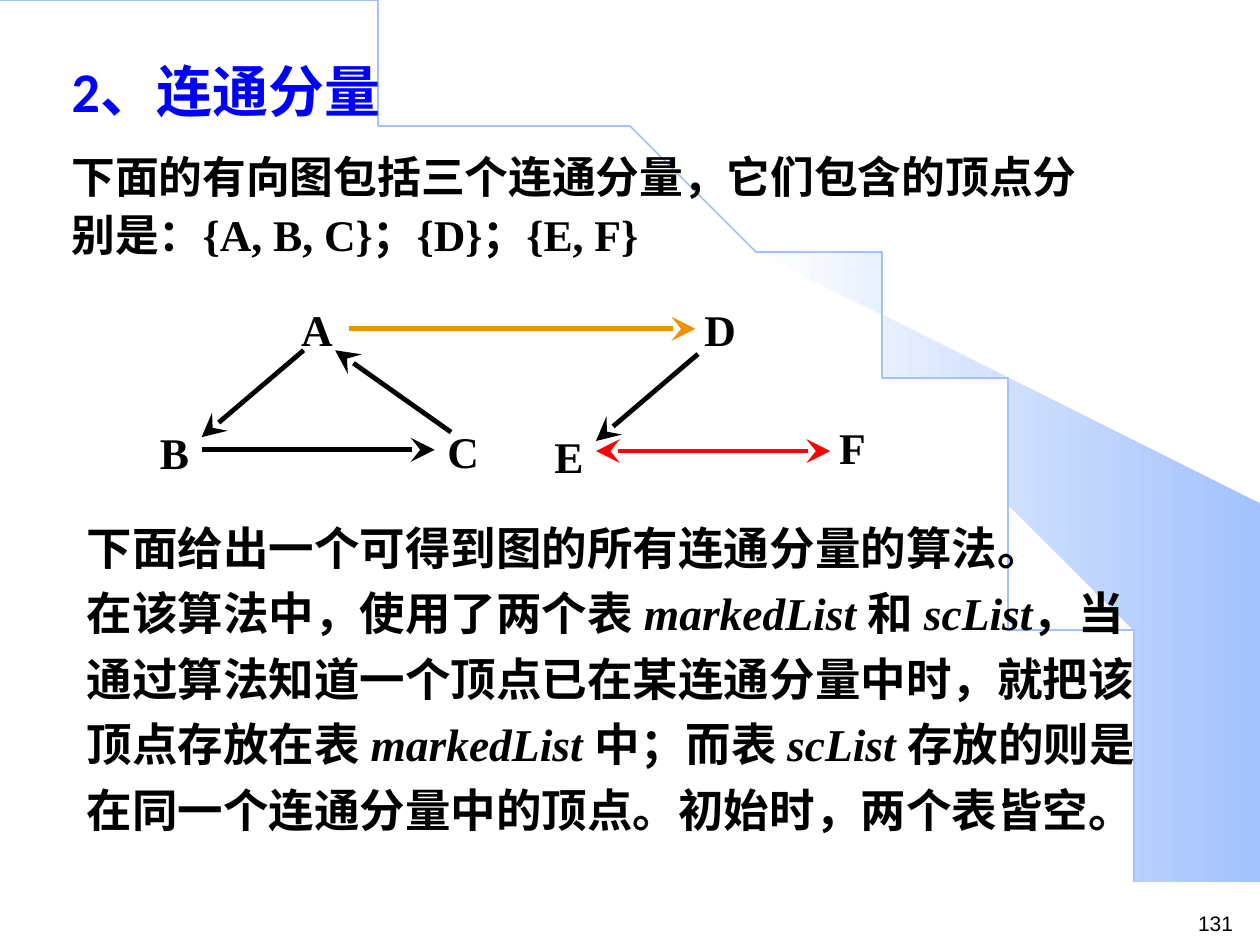
import pptx
import pptx.dml.color
import pptx.enum.shapes
import pptx.enum.text
import pptx.oxml.ns
import pptx.util
from lxml import etree

Inches, Pt = pptx.util.Inches, pptx.util.Pt
RGBColor = pptx.dml.color.RGBColor
BLACK = RGBColor(0x00, 0x00, 0x00)
WHITE = RGBColor(0xFF, 0xFF, 0xFF)
BLUE = RGBColor(0x00, 0x00, 0xFF)
PALE_BLUE = RGBColor(0xA2, 0xC1, 0xFE)
ORANGE = RGBColor(0xEF, 0x91, 0x00)
RED = RGBColor(0xFF, 0x00, 0x00)
SERIF = "Times New Roman"
CJK = "Noto Sans CJK SC"

SWOOSH = [
    (9.2, 7.48), (9.99, 7.49), (9.99, 4.23), (5.89, 1.73), (6.24, 1.99), (6.53, 2.22),
    (6.85, 2.5), (7.16, 2.8), (7.62, 3.3), (8.03, 3.84), (8.32, 4.31), (8.58, 4.79),
    (8.78, 5.28), (8.93, 5.72), (9.03, 6.09), (9.13, 6.56), (9.17, 6.96),
]
# vertex: left, top, width of its label
VERTICES = {
    "A": (2.39, 2.4, 0.29), "B": (1.27, 3.38, 0.23), "C": (3.55, 3.37, 0.25),
    "D": (5.59, 2.4, 0.33), "E": (4.4, 3.41, 0.23), "F": (6.66, 3.34, 0.21),
}
# start, end, colour, arrowheads
EDGES = [
    ((3.58, 3.43), (2.66, 2.78), BLACK, ["tailEnd"]),
    ((2.41, 2.78), (1.6, 3.47), BLACK, ["tailEnd"]),
    ((1.6, 3.57), (3.45, 3.57), BLACK, ["tailEnd"]),
    ((2.77, 2.61), (5.52, 2.61), ORANGE, ["tailEnd"]),
    ((5.54, 2.81), (4.73, 3.5), BLACK, ["tailEnd"]),
    ((4.73, 3.58), (6.59, 3.58), RED, ["headEnd", "tailEnd"]),
]


def add_element(parent, tag, **attrs):
    return etree.SubElement(parent, pptx.oxml.ns.qn(tag), attrs)


def add_freeform(slide, points, close):
    builder = slide.shapes.build_freeform(*points[0], scale=Inches(1))
    builder.add_line_segments(points[1:], close=close)
    s = builder.convert_to_shape()
    s.shadow.inherit = False
    return s


def add_background(slide):
    s = add_freeform(slide, SWOOSH, True)
    s.line.fill.background()
    s.fill.gradient()
    s.fill.gradient_angle = 0
    for stop, color in zip(s.fill.gradient_stops, (WHITE, PALE_BLUE)):
        stop.color.rgb = color

    # cubic curve (0, 0), (5.08, 0), (9.2, 3.35), (9.2, 7.49)
    steps = 80
    arc = []
    for i in range(steps + 1):
        t = i / steps
        u = 1 - t
        b1, b2, b3 = 3 * u * u * t, 3 * u * t * t, t ** 3
        arc.append((5.08 * b1 + 9.2 * (b2 + b3), 3.35 * b2 + 7.49 * b3))
    s = add_freeform(slide, arc, False)
    s.fill.background()
    s.line.color.rgb = PALE_BLUE
    s.line.width = Pt(1)


def add_text_box(slide, left, top, width, height, inset=True):
    s = slide.shapes.add_textbox(Inches(left), Inches(top), Inches(width), Inches(height))
    tf = s.text_frame
    tf.word_wrap = inset
    if not inset:
        tf.margin_left = tf.margin_right = tf.margin_top = tf.margin_bottom = 0
    return tf


def set_font(font, size, name, color=BLACK, bold=True):
    font.size, font.name, font.bold = Pt(size), name, bold
    font.color.rgb = color


def add_run(p, text, name=None, italic=None):
    r = p.add_run()
    r.text = text
    if name:
        r.font.name = name
    if italic:
        r.font.italic = True


def add_heading(slide):
    tf = add_text_box(slide, 0.47, 0.4, 8.27, 1.85)
    p = tf.paragraphs[0]
    set_font(p.font, 32, "Calibri", BLUE)
    add_run(p, "2、连通分量")
    p = tf.add_paragraph()
    p.line_spacing, p.space_before = Pt(33), Pt(12)
    set_font(p.font, 25, CJK)
    add_run(p, "下面的有向图包括三个连通分量，它们包含的顶点分别是：")
    add_run(p, "{A, B, C}；{D}；{E, F}", SERIF)


def add_vertex(slide, label, left, top, width):
    p = add_text_box(slide, left, top, width, 0.42, inset=False).paragraphs[0]
    set_font(p.font, 25, SERIF)
    add_run(p, label)


def add_edge(slide, start, end, color, heads):
    s = slide.shapes.add_connector(
        pptx.enum.shapes.MSO_CONNECTOR.STRAIGHT, *map(Inches, start + end))
    s.line.color.rgb = color
    s.line.width = Pt(2.75)
    ln = s.line._get_or_add_ln()
    for head in heads:
        add_element(ln, "a:" + head, type="stealth", w="lg", len="lg")
    add_element(s._element.spPr, "a:effectLst")


def add_explanation(slide):
    tf = add_text_box(slide, 0.59, 3.99, 8.78, 2.7)
    paragraphs = [
        [("下面给出一个可得到图的所有连通分量的算法。", False)],
        [("在该算法中，使用了两个表 ", False), ("markedList ", True), ("和 ", False),
         ("scList", True),
         ("，当通过算法知道一个顶点已在某连通分量中时，就把该顶点存放在表 ", False),
         ("markedList ", True), ("中；而表 ", False), ("scList ", True),
         ("存放的则是在同一个连通分量中的顶点。初始时，两个表皆空。", False)],
    ]
    for i, runs in enumerate(paragraphs):
        p = tf.add_paragraph() if i else tf.paragraphs[0]
        p.line_spacing = 1.2
        set_font(p.font, 26, SERIF)
        for text, italic in runs:
            add_run(p, text, italic=italic)


def add_page_number(slide):
    p = add_text_box(slide, 9.41, 7.18, 0.59, 0.3).paragraphs[0]
    set_font(p.font, 12, "Arial", bold=False)
    add_run(p, "131")


def main():
    prs = pptx.Presentation()
    prs.slide_width, prs.slide_height = Inches(10), Inches(7.5)
    slide = prs.slides.add_slide(prs.slide_layouts[6])
    add_background(slide)
    add_page_number(slide)
    add_heading(slide)
    for label, place in VERTICES.items():
        add_vertex(slide, label, *place)
    for edge in EDGES:
        add_edge(slide, *edge)
    add_explanation(slide)
    prs.save("out.pptx")


if __name__ == "__main__":
    main()
